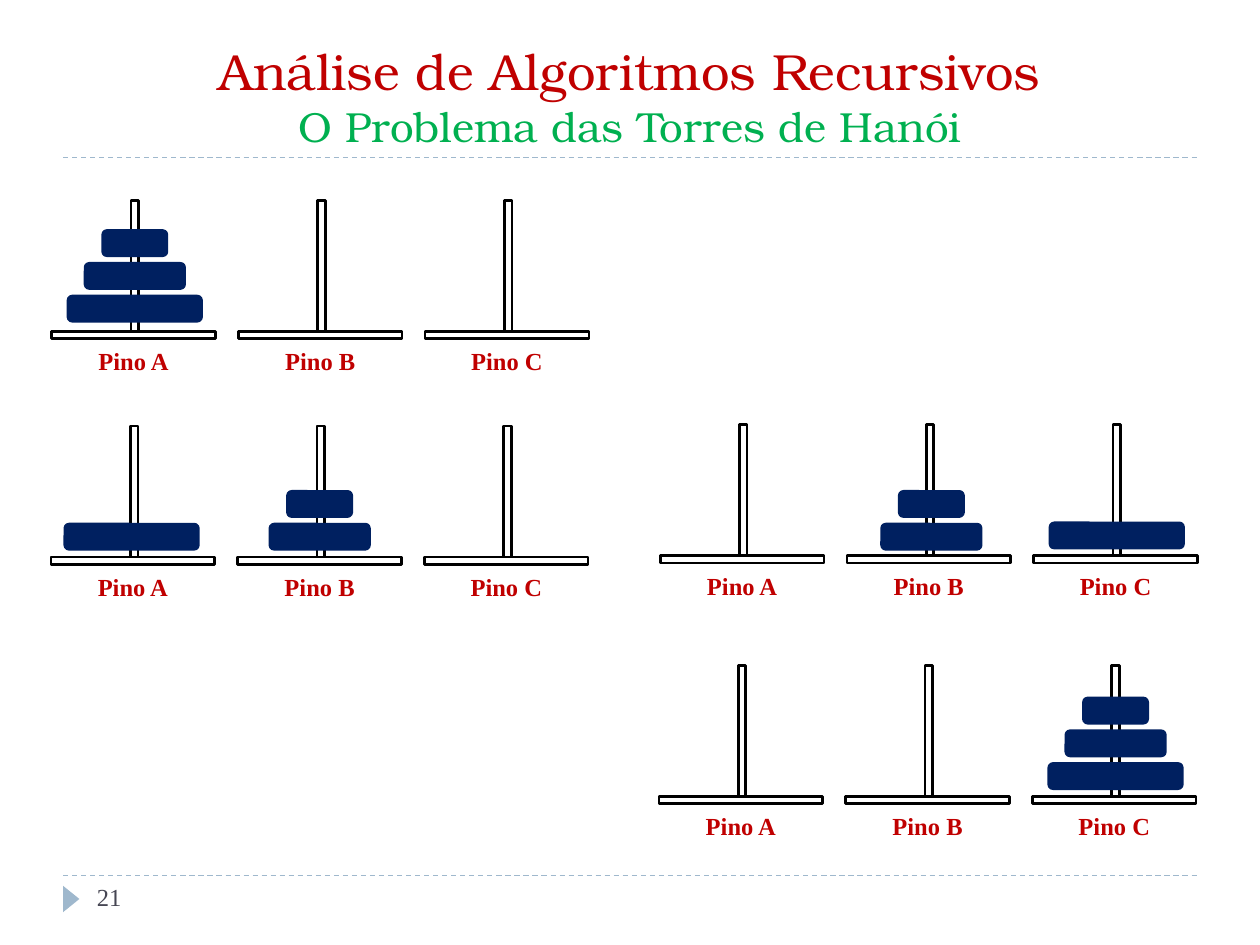
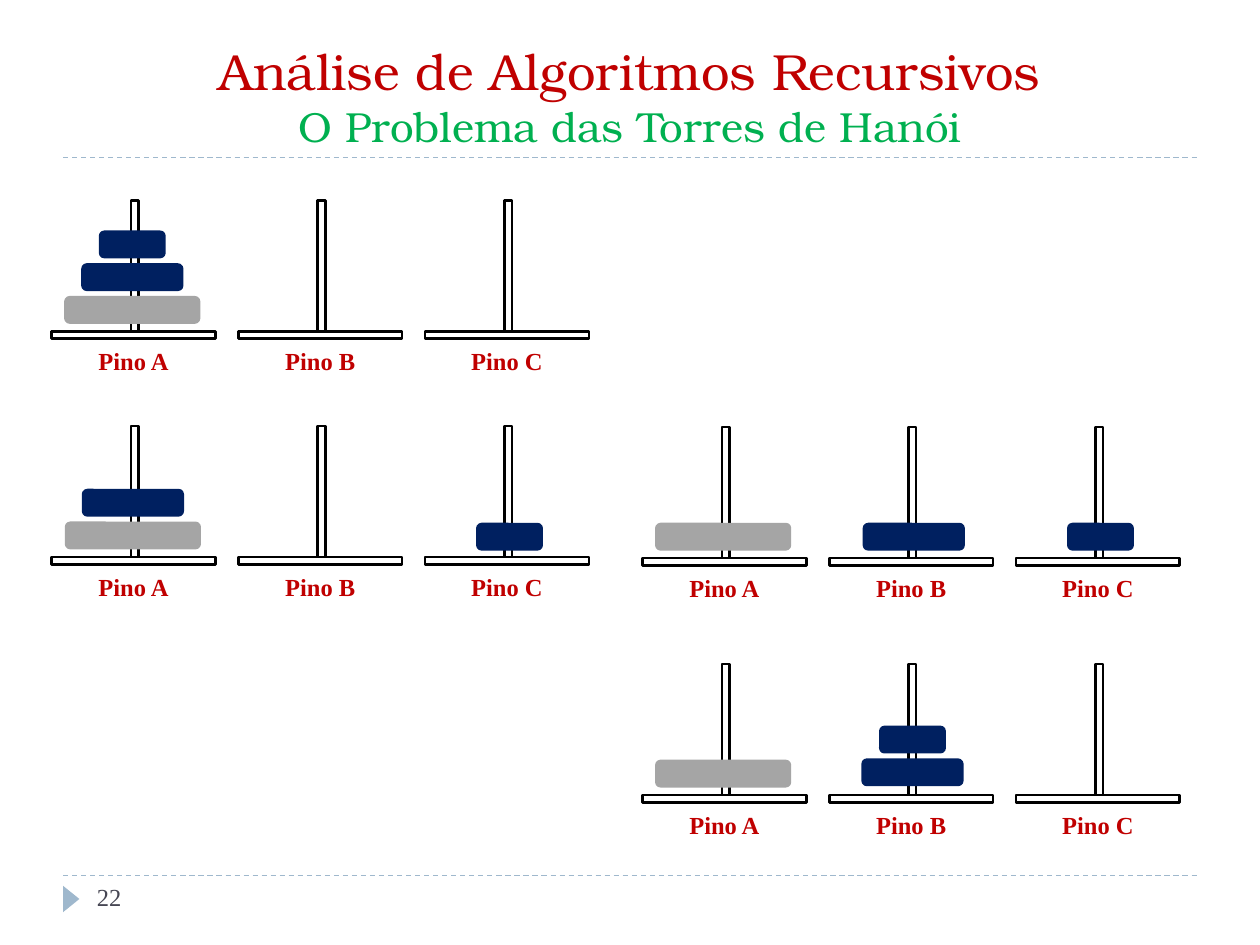
from lxml.etree import SubElement
from pptx import Presentation
from pptx.dml.color import RGBColor
from pptx.enum.dml import MSO_LINE
from pptx.enum.shapes import MSO_CONNECTOR, MSO_SHAPE
from pptx.enum.text import MSO_ANCHOR, MSO_AUTO_SIZE, PP_ALIGN
from pptx.oxml.ns import qn
from pptx.util import Inches, Pt

COLORS = {
    "red": "C00000",
    "green": "00B050",
    "navy": "002060",
    "gray": "A5A5A5",
    "accent": "9FB8CD",
    "number": "464653",
    "black": "000000",
    "white": "FFFFFF",
}
TITLE_FONT = "TeX Gyre Bonum"
BODY_FONT = "Times New Roman"
COLUMNS, ROWS = 100, 75

PEGS = "ABC"
PEG_PITCH = 14.82
BASE_WIDTH, BAR = 13, 0.6
POLE_HEIGHT = 10.4
DISC_WIDTHS = {"L": 10.6, "M": 7.9, "S": 5.1}
DISC_HEIGHT, DISC_PITCH = 2, 2.6


def write(paragraph, text, size=14, font=BODY_FONT, color="red", bold=False, align=PP_ALIGN.CENTER):
    paragraph.alignment = align
    run = paragraph.add_run()
    run.text = text
    run.font.size = Pt(size)
    run.font.name = font
    run.font.bold = bold
    run.font.color.rgb = RGBColor.from_string(COLORS[color])


class HanoiDeck:
    def __init__(self):
        self.presentation = Presentation()
        self.presentation.slide_width = Inches(10)
        self.presentation.slide_height = Inches(7.5)
        self.column = self.presentation.slide_width / COLUMNS
        self.row = self.presentation.slide_height / ROWS
        self.slide = None

    def place(self, left, top, width, height):
        return (round(left * self.column), round(top * self.row),
                round(width * self.column), round(height * self.row))

    def start_slide(self, number):
        self.slide = self.presentation.slides.add_slide(self.presentation.slide_layouts[5])
        for row in (69.5, 12.5):
            self.rule(row)
        self.shape(self.slide.shapes, MSO_SHAPE.ISOSCELES_TRIANGLE, (4.6, 70.7, 2.1, 1.3), "accent").rotation = 90
        self.title("Análise de Algoritmos Recursivos", "O Problema das Torres de Hanói")
        self.text(self.slide.shapes, str(number), (6.7, 69.5, 21.7, 4), color="number", align=PP_ALIGN.LEFT)

    def title(self, heading, subject):
        shape = self.slide.shapes.title
        shape.left, shape.top, shape.width, shape.height = self.place(5, 2.5, 90, 10)
        frame = shape.text_frame
        frame.auto_size = MSO_AUTO_SIZE.NONE
        frame.vertical_anchor = MSO_ANCHOR.BOTTOM
        paragraph = frame.paragraphs[0]
        write(paragraph, heading, size=29, font=TITLE_FONT)
        paragraph.add_line_break()
        write(paragraph, subject, size=24, font=TITLE_FONT, color="green")

    def rule(self, row):
        left, top, width, _ = self.place(5, row, 90, 0)
        connector = self.slide.shapes.add_connector(MSO_CONNECTOR.STRAIGHT, left, top, left + width, top)
        connector.line.color.rgb = RGBColor.from_string(COLORS["accent"])
        connector.line.width = Pt(0.75)
        connector.line.dash_style = MSO_LINE.DASH
        SubElement(connector._element.spPr, qn("a:effectLst"))

    def shape(self, shapes, kind, box, fill, line=None):
        shape = shapes.add_shape(kind, *self.place(*box))
        shape.shadow.inherit = False
        shape.fill.solid()
        shape.fill.fore_color.rgb = RGBColor.from_string(COLORS[fill])
        if line:
            shape.line.color.rgb = RGBColor.from_string(COLORS[line])
            shape.line.width = Pt(1.5)
        else:
            shape.line.fill.background()
        return shape

    def text(self, shapes, text, box, **style):
        frame = shapes.add_textbox(*self.place(*box)).text_frame
        frame.word_wrap = True
        write(frame.paragraphs[0], text, **style)

    def towers(self, left, top, stacks, large_color):
        shapes = self.slide.shapes.add_group_shape().shapes
        for index, peg in enumerate(PEGS):
            base_left = left + index * PEG_PITCH
            center = base_left + BASE_WIDTH / 2
            pole = (center - BAR / 2 + 0.1, top - POLE_HEIGHT, BAR, POLE_HEIGHT)
            base = (base_left, top, BASE_WIDTH, BAR)
            for bar in (pole, base):
                self.shape(shapes, MSO_SHAPE.RECTANGLE, bar, "white", "black")
            self.text(shapes, f"Pino {peg}", (base_left + 1.6, top + 0.7, 9.8, 3.4), bold=True)
        for peg, discs, shift, drop in stacks:
            center = left + PEGS.index(peg) * PEG_PITCH + BASE_WIDTH / 2 + shift
            for level, disc in enumerate(discs):
                width = DISC_WIDTHS[disc]
                color = large_color if disc == "L" else "navy"
                box = (center - width / 2, top - drop - level * DISC_PITCH, width, DISC_HEIGHT)
                self.shape(shapes, MSO_SHAPE.ROUNDED_RECTANGLE, box, color, color)


SLIDES = [
    (21, "navy", [
        (4.1, 26.3, [("A", "LMS", 0.1, 2.8)]),
        (4.05, 44.2, [("A", "L", -0.1, 2.6), ("B", "MS", 0, 2.6)]),
        (52.4, 44.1, [("B", "MS", 0.2, 2.5), ("C", "L", 0.1, 2.6)]),
        (52.3, 63.2, [("C", "LMS", 0.1, 2.6)]),
    ]),
    (22, "gray", [
        (4.1, 26.3, [("A", "LMS", -0.1, 2.7)]),
        (4.1, 44.2, [("A", "LM", -0.05, 2.7), ("C", "S", 0.2, 2.6)]),
        (51, 44.3, [("A", "L", -0.1, 2.7), ("B", "M", 0.2, 2.7), ("C", "S", 0.2, 2.7)]),
        (51, 63.1, [("A", "L", -0.1, 2.7), ("B", "MS", 0.1, 2.8)]),
    ]),
]


def main():
    deck = HanoiDeck()
    for number, large_color, steps in SLIDES:
        deck.start_slide(number)
        for left, top, stacks in steps:
            deck.towers(left, top, stacks, large_color)
    deck.presentation.save("out.pptx")


if __name__ == "__main__":
    main()
